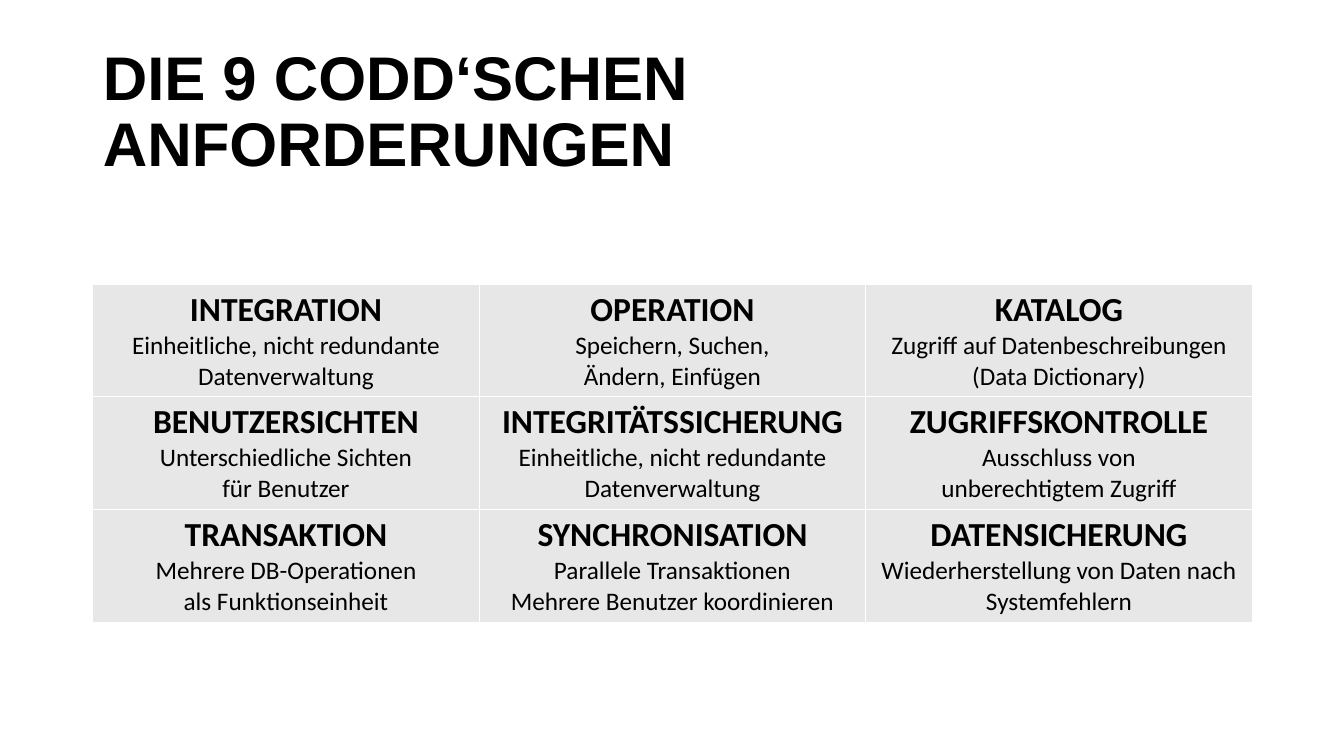
from lxml import etree
from pptx import Presentation
from pptx.dml.color import RGBColor
from pptx.enum.text import MSO_ANCHOR, PP_ALIGN
from pptx.oxml.ns import qn
from pptx.util import Inches, Pt

COLORS = {"text": "000000", "cell": "E7E7E7", "border": "FFFFFF"}

REQUIREMENTS = [
    [("INTEGRATION", "Einheitliche, nicht redundante Datenverwaltung"),
     ("OPERATION", "Speichern, Suchen,", "Ändern, Einfügen"),
     ("KATALOG", "Zugriff auf Datenbeschreibungen", "(Data Dictionary)")],
    [("BENUTZERSICHTEN", "Unterschiedliche Sichten", "für Benutzer"),
     ("INTEGRITÄTSSICHERUNG", "Einheitliche, nicht redundante Datenverwaltung"),
     ("ZUGRIFFSKONTROLLE", "Ausschluss von", "unberechtigtem Zugriff")],
    [("TRANSAKTION", "Mehrere DB-Operationen", "als Funktionseinheit"),
     ("SYNCHRONISATION", "Parallele Transaktionen", "Mehrere Benutzer koordinieren"),
     ("DATENSICHERUNG", "Wiederherstellung von Daten nach Systemfehlern")],
]


def format_font(font, name, size, bold):
    font.name, font.size, font.bold = name, Pt(size), bold
    font.color.rgb = RGBColor.from_string(COLORS["text"])


def add_title(slide, box, text):
    title = slide.shapes.title
    title.left, title.top, title.width, title.height = map(Inches, box)
    frame = title.text_frame
    frame.text = text
    frame.word_wrap = True
    frame.vertical_anchor = MSO_ANCHOR.MIDDLE
    paragraph = frame.paragraphs[0]
    paragraph.alignment = PP_ALIGN.LEFT
    paragraph.line_spacing = 0.9
    format_font(paragraph.runs[0].font, "Arial", 44, True)


def set_borders(cell, color, width):
    properties = cell._tc.get_or_add_tcPr()
    for position, side in enumerate(("lnL", "lnR", "lnT", "lnB")):
        line = etree.Element(qn(f"a:{side}"), w=str(Pt(width)))
        fill = etree.SubElement(line, qn("a:solidFill"))
        etree.SubElement(fill, qn("a:srgbClr"), val=color)
        properties.insert(position, line)


def fill_cell(cell, lines):
    """Write a bold heading followed by its description lines."""
    cell.fill.solid()
    cell.fill.fore_color.rgb = RGBColor.from_string(COLORS["cell"])
    set_borders(cell, COLORS["border"], 1)
    cell.text_frame.text = "\n".join(lines)
    for index, paragraph in enumerate(cell.text_frame.paragraphs):
        paragraph.alignment = PP_ALIGN.CENTER
        heading = index == 0
        format_font(paragraph.runs[0].font, "Calibri", 24 if heading else 18, heading)


def add_requirements(slide, box, requirements):
    grid = slide.shapes.add_table(
        len(requirements), len(requirements[0]), *map(Inches, box)).table
    for row, row_requirements in enumerate(requirements):
        for column, lines in enumerate(row_requirements):
            fill_cell(grid.cell(row, column), lines)


def main():
    prs = Presentation()
    prs.slide_width, prs.slide_height = Inches(13.33), Inches(7.5)
    slide = prs.slides.add_slide(prs.slide_layouts[5])
    add_title(slide, (0.92, 0.4, 9.58, 1.45), "DIE 9 CODD‘SCHEN ANFORDERUNGEN")
    add_requirements(slide, (0.92, 2.82, 11.5, 3.34), REQUIREMENTS)
    prs.save("out.pptx")


if __name__ == "__main__":
    main()
